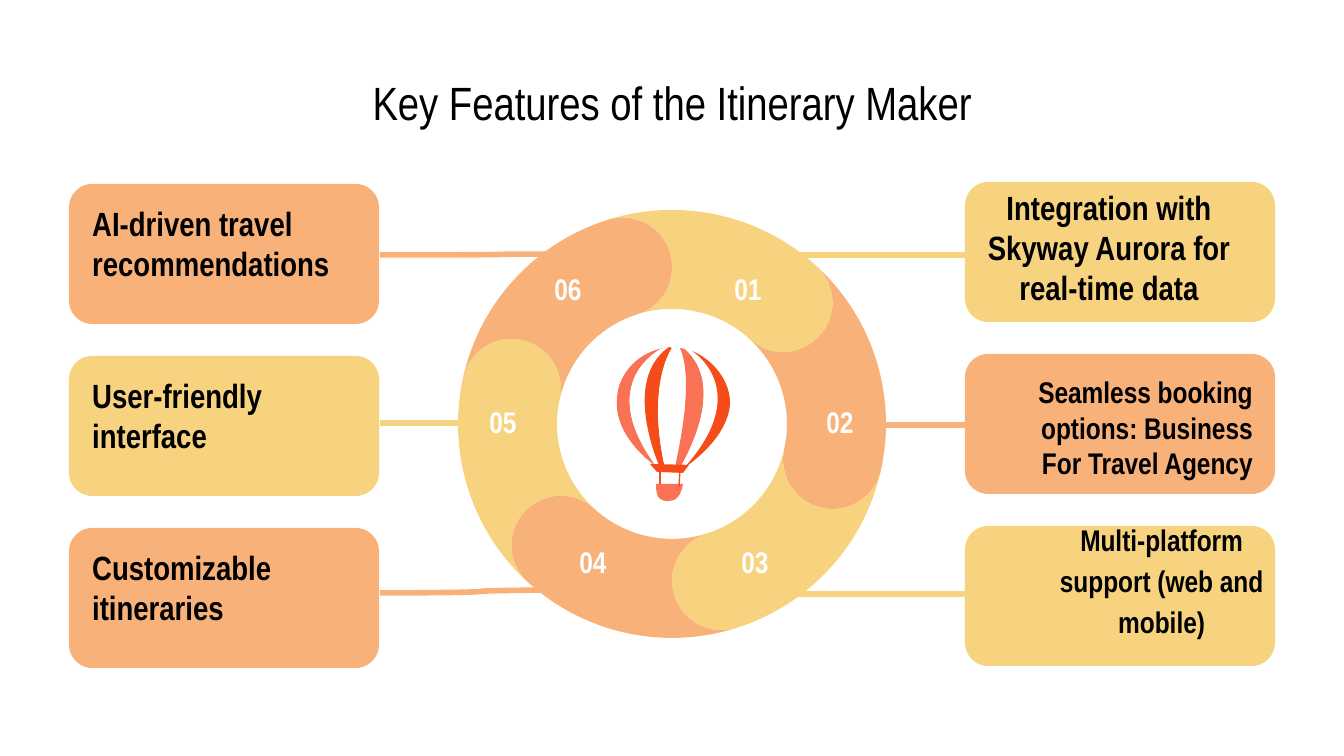
from dataclasses import dataclass
from math import cos, radians, sin, tan

from lxml.etree import SubElement
from pptx import Presentation
from pptx.dml.color import RGBColor
from pptx.enum.shapes import MSO_CONNECTOR as Link, MSO_SHAPE as Preset
from pptx.enum.text import MSO_ANCHOR as Anchor, PP_ALIGN as Align
from pptx.oxml.ns import qn
from pptx.util import Inches, Pt

EMU_PER_PX = Inches(10) / 1344


def px(n):
    return round(n * EMU_PER_PX)


@dataclass(frozen=True)
class Theme:
    font: str = "Arial Narrow"
    yellow: str = "F7D380"
    orange: str = "F8B179"
    coral: str = "FA7256"
    red: str = "F54C19"
    white: str = "FFFFFF"
    black: str = "000000"
    title: int = 25
    body: int = 18
    small: int = 16
    wire: float = 3
    rope: float = 0.75


class Canvas:
    """Draws styled elements on one slide, with lengths in px."""

    def __init__(self, slide, theme):
        self.shapes, self.theme = slide.shapes, theme

    def paint(self, sp, color):
        sp.shadow.inherit = False
        sp.fill.solid()
        sp.fill.fore_color.rgb = RGBColor.from_string(color)
        sp.line.fill.background()

    def card(self, x, y, w, h, color):
        sp = self.shapes.add_shape(Preset.ROUNDED_RECTANGLE, px(x), px(y), px(w), px(h))
        sp.adjustments[0] = 0.167
        self.paint(sp, color)

    def outline(self, points, color, curved=True):
        """Closed shape; if curved, a start and then three points per cubic curve."""
        (x, y), *rest = [(px(a), px(b)) for a, b in points]
        builder = self.shapes.build_freeform(x, y)
        builder.add_line_segments(rest, close=True)
        sp = builder.convert_to_shape()
        self.paint(sp, color)
        if curved:
            path = sp._element.find(".//" + qn("a:path"))
            close, lines = path.find(qn("a:close")), path.findall(qn("a:lnTo"))
            for i in range(0, len(lines), 3):
                curve = SubElement(path, qn("a:cubicBezTo"))
                for line in lines[i:i + 3]:
                    curve.append(line[0])
                    path.remove(line)
            path.append(close)

    def line(self, start, end, color, width, kind=Link.STRAIGHT):
        sp = self.shapes.add_connector(kind, *map(px, start + end))
        sp.line.color.rgb = RGBColor.from_string(color)
        sp.line.width = Pt(width)
        SubElement(sp._element.spPr, qn("a:effectLst"))

    def text(self, box, words, size, color=None, bold=True, anchor=Anchor.TOP,
             indent=0, **paragraph):
        tf = self.shapes.add_textbox(*map(px, box)).text_frame
        frame = {"word_wrap": True, "vertical_anchor": anchor}
        frame |= {f"margin_{side}": Inches(0.1) for side in ("left", "top", "right", "bottom")}
        p = tf.paragraphs[0]
        r = p.add_run()
        r.text = words
        font = {"name": self.theme.font, "size": Pt(size), "bold": bold}
        for target, values in ((tf, frame), (p, paragraph), (r.font, font)):
            for name, value in values.items():
                setattr(target, name, value)
        r.font.color.rgb = RGBColor.from_string(color or self.theme.black)
        if indent:
            p._p.get_or_add_pPr().set("marL", str(Inches(indent)))


def chain(*pieces):
    """Joins curves that each start where the one before ends."""
    return list(pieces[0]) + [point for piece in pieces[1:] for point in piece[1:]]


def straight(a, b):
    return [a, a, b, b]


def polar(center, radius, angle):
    """Point at an angle in degrees, clockwise from the top."""
    a = radians(angle)
    return center[0] + radius * sin(a), center[1] - radius * cos(a)


def arc(center, radius, start, sweep):
    """One cubic curve, close to a circle for sweeps up to 90 degrees."""
    end, reach = start + sweep, radius * 4 / 3 * tan(radians(sweep) / 4)
    first, last = polar(center, radius, start), polar(center, radius, end)
    return [first, polar(first, reach, start + 90), polar(last, -reach, end + 90), last]


def half_circle(center, radius, start, quarter):
    return chain(*(arc(center, radius, start + i * quarter, quarter) for i in (0, 1)))


def ring_segment(center, outer, inner, tail, sweep):
    """Ring piece with a round head and a matching hollow tail."""
    head, mid, cap = tail + sweep, (outer + inner) / 2, (outer - inner) / 2
    return chain(arc(center, outer, tail, sweep),
                 half_circle(polar(center, mid, head), cap, head, 90),
                 arc(center, inner, head, -sweep),
                 half_circle(polar(center, mid, tail), cap, tail + 180, -90))


# Balloon seams from left to right, each from top to bottom
SEAMS = [
    [(665, 348), (641, 351), (618, 372), (617, 399), (614, 434), (648, 461), (656, 466)],
    [(661, 349), (661, 349), (594, 382), (656, 466)],
    [(669, 347), (622, 380), (657, 460), (660, 468)],
    [(672, 348), (672, 348), (646, 384), (665, 468)],
    [(680, 348), (696, 384), (675, 464), (675, 468)],
    [(685, 349), (728, 387), (684, 461), (680, 468)],
    [(692, 351), (700, 356), (750, 395), (684, 468)],
    [(692, 351), (714, 360), (731, 382), (730, 405), (727, 437), (693, 462), (684, 468)],
]
BASKET = [(656, 484), (656, 500), (661, 501), (669, 501), (676, 501), (681, 496), (683, 484)]
BAND = [(683, 473), (657, 472), (650, 464), (689, 465)]
ROPES = [((660, 484), (660, 466)), ((679, 487), (680, 470))]


def draw_balloon(c):
    t = c.theme
    c.outline(BASKET, t.coral)
    for top, bottom in ROPES:
        c.line(top, bottom, t.red, t.rope)
    colors = (t.coral, t.white, t.red, t.white, t.coral, t.white, t.red)
    for left, right, color in zip(SEAMS, SEAMS[1:], colors):
        c.outline(chain(left, straight(left[-1], right[-1]), right[::-1]), color)
    c.outline(BAND, t.red, curved=False)


def main():
    prs = Presentation()
    prs.slide_width, prs.slide_height = px(1344), px(756)
    t = Theme()
    c = Canvas(prs.slides.add_slide(prs.slide_layouts[6]), t)
    c.text((67, 66, 1210, 77), "Key Features of the Itinerary Maker", t.title,
           bold=False, anchor=Anchor.BOTTOM, alignment=Align.CENTER)

    # Per row: left words, left line ends, right words, right box, right style, right line end
    rows = [
        ("AI-driven travel recommendations", (380, 255), (617, 254),
         "Integration with Skyway Aurora for real-time data", (974, 173, 270, 50),
         {"size": t.body, "alignment": Align.CENTER}, (720, 255)),
        ("User-friendly interface", (380, 423), (522, 423),
         "Seamless booking options: Business For Travel Agency", (996, 360, 270, 50),
         {"size": t.small, "alignment": Align.RIGHT}, (809, 425)),
        ("Customizable itineraries", (380, 593), (581, 590),
         "Multi-platform support (web and mobile)", (892, 503, 405, 50),
         {"size": t.small, "alignment": Align.CENTER, "indent": 1,
          "line_spacing": 1.15, "space_before": Pt(12)}, (722, 594)),
    ]
    for i, (left, start, end, right, box, style, right_end) in enumerate(rows):
        y = 184 + 172 * i
        left_color, right_color = (t.yellow, t.orange) if i % 2 else (t.orange, t.yellow)
        c.card(69, y, 310, 140, left_color)
        c.card(965, y - 2, 310, 140, right_color)
        c.line(start, end, left_color, t.wire, Link.CURVE)
        c.line((965, right_end[1]), right_end, right_color, t.wire)
        c.text((79, y + 5, 280, 50), left, t.body)
        c.text(box, right, **style)

    number_centers = [(748, 282), (840, 415), (755, 555), (593, 555), (503, 415), (568, 282)]
    for i in range(len(number_centers)):
        c.outline(ring_segment((672, 424), 214, 115, 60 * i - 17.5, 60),
                  t.orange if i % 2 else t.yellow)
    draw_balloon(c)
    for number, (x, y) in enumerate(number_centers, 1):
        c.text((x - 71, y - 25, 142, 50), f"{number:02}", t.small, t.white,
               alignment=Align.CENTER)
    prs.save("out.pptx")


if __name__ == "__main__":
    main()
